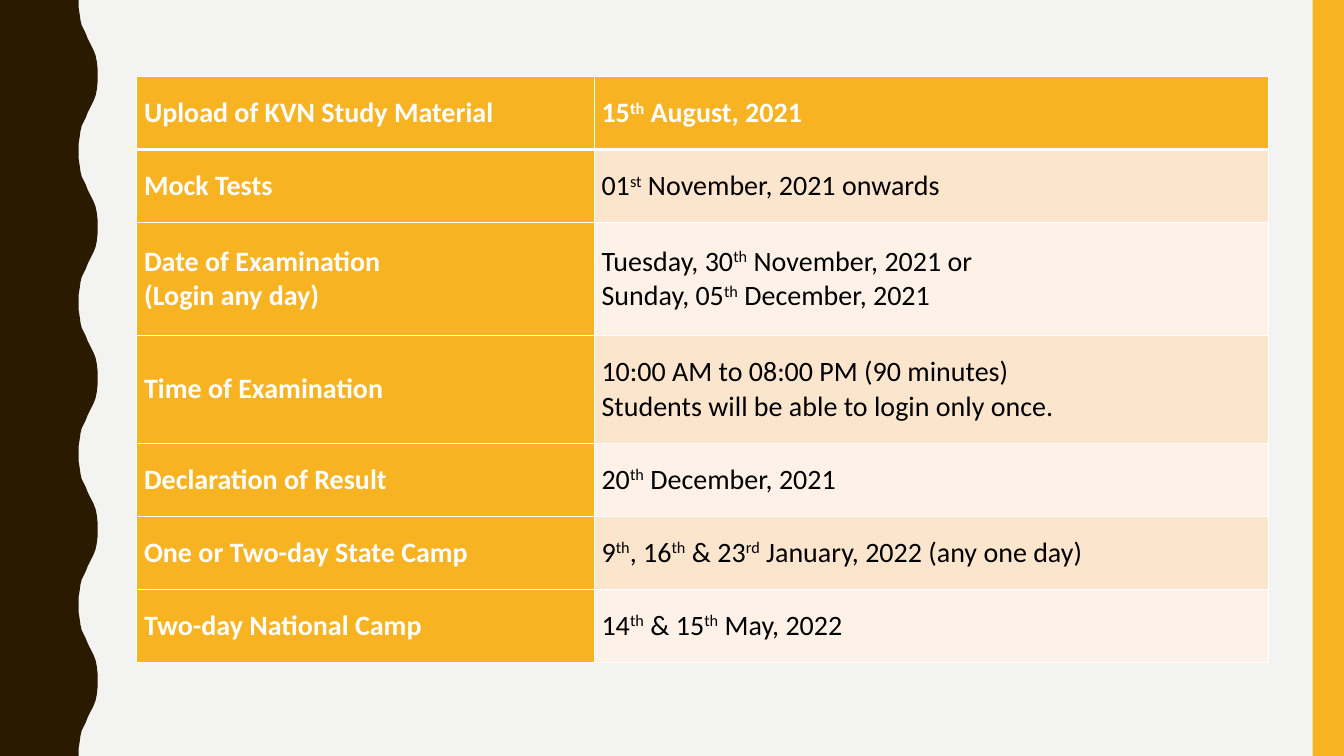
"""Build the examination schedule slide."""
from lxml.etree import SubElement
from pptx import Presentation
from pptx.dml.color import RGBColor
from pptx.enum.shapes import MSO_SHAPE as Shape
from pptx.enum.text import MSO_ANCHOR as Anchor
from pptx.oxml.ns import qn
from pptx.util import Cm, Pt

SCHEDULE = [
    ("Upload of KVN Study Material", "15^th^ August, 2021"),
    ("Mock Tests", "01^st^ November, 2021 onwards"),
    ("Date of Examination\n(Login any day)",
     "Tuesday, 30^th^ November, 2021 or\nSunday, 05^th^ December, 2021"),
    ("Time of Examination",
     "10:00 AM to 08:00 PM (90 minutes)\nStudents will be able to login only once."),
    ("Declaration of Result", "20^th^ December, 2021"),
    ("One or Two-day State Camp",
     "9^th^, 16^th^ & 23^rd^ January, 2022 (any one day)"),
    ("Two-day National Camp", "14^th^ & 15^th^ May, 2022"),
]
COLUMN_WIDTHS = [11.53, 16.99]
ROW_HEIGHTS = [1.84, 1.84, 2.84, 2.72, 1.84, 1.84, 1.84]
GOLD, BROWN, PAPER = "F8B323", "2A1A00", "F3F3F2"
WHITE, BLACK = "FFFFFF", "000000"
BANDS = ["FEF2E8", "FCE5CD"]
WIDTH, HEIGHT = 33.87, 19.05
BAR_WIDTH = 0.79
WAVES = 5
HALF_WAVE = [
    (1.98, 0), (1.98, 0.18), (2.01, 0.36), (2.03, 0.51), (2.06, 0.64),
    (2.11, 0.74), (2.16, 0.84), (2.21, 0.97), (2.26, 1.07), (2.31, 1.17),
    (2.36, 1.27), (2.41, 1.4), (2.44, 1.55), (2.46, 1.73), (2.46, 1.9),
]


def paint(fill, color):
    fill.solid()
    fill.fore_color.rgb = RGBColor.from_string(color)


def decorate(shape, color):
    paint(shape.fill, color)
    shape.line.fill.background()
    shape.shadow.inherit = False


def add_wavy_edge(page):
    period = HEIGHT / WAVES
    wave = HALF_WAVE + [(x, period - y) for x, y in reversed(HALF_WAVE)]
    edge = [(x, y + period * i) for i in range(WAVES) for x, y in wave]
    builder = page.shapes.build_freeform(0, 0)
    builder.add_line_segments(
        [(Cm(x), Cm(y)) for x, y in edge + [(0, HEIGHT)]], close=True)
    decorate(builder.convert_to_shape(), BROWN)


def add_borders(cell, top, bottom):
    properties = cell._tc.get_or_add_tcPr()
    for side, width in (("L", 1), ("R", 1), ("T", top), ("B", bottom)):
        line = SubElement(properties, qn(f"a:ln{side}"), w=str(Pt(width)))
        fill = SubElement(line, qn("a:solidFill"))
        SubElement(fill, qn("a:srgbClr"), val=WHITE)


def write(cell, text, color, bold):
    frame = cell.text_frame
    frame.text = text
    for para, line in zip(frame.paragraphs, text.split("\n")):
        para.text = ""
        for index, piece in enumerate(line.split("^")):
            span = para.add_run()
            span.text = piece
            span.font.name = "Calibri"
            span.font.size = Pt(20)
            span.font.bold = bold
            span.font.color.rgb = RGBColor.from_string(color)
            if index % 2:
                span.font._element.set("baseline", "30000")


def add_schedule(page):
    table = page.shapes.add_table(
        len(SCHEDULE), 2, Cm(3.45), Cm(1.93),
        Cm(sum(COLUMN_WIDTHS)), Cm(sum(ROW_HEIGHTS))).table
    for column, width in zip(table.columns, COLUMN_WIDTHS):
        column.width = Cm(width)
    for r, (entry, height) in enumerate(zip(SCHEDULE, ROW_HEIGHTS)):
        table.rows[r].height = Cm(height)
        for c, text in enumerate(entry):
            cell = table.cell(r, c)
            heading = r == 0 or c == 0
            cell.vertical_anchor = Anchor.MIDDLE
            cell.margin_left = cell.margin_right = Cm(0.18)
            cell.margin_top = cell.margin_bottom = 0
            add_borders(cell, 3 if r == 1 else 1, 3 if r == 0 else 1)
            paint(cell.fill, GOLD if heading else BANDS[r % 2])
            write(cell, text, WHITE if heading else BLACK, heading)


def main():
    deck = Presentation()
    deck.slide_width, deck.slide_height = Cm(WIDTH), Cm(HEIGHT)
    page = deck.slides.add_slide(deck.slide_layouts[6])
    paint(page.background.fill, PAPER)
    add_wavy_edge(page)
    bar = page.shapes.add_shape(
        Shape.RECTANGLE, Cm(WIDTH - BAR_WIDTH), 0, Cm(BAR_WIDTH), Cm(HEIGHT))
    decorate(bar, GOLD)
    add_schedule(page)
    deck.save("out.pptx")


if __name__ == "__main__":
    main()
